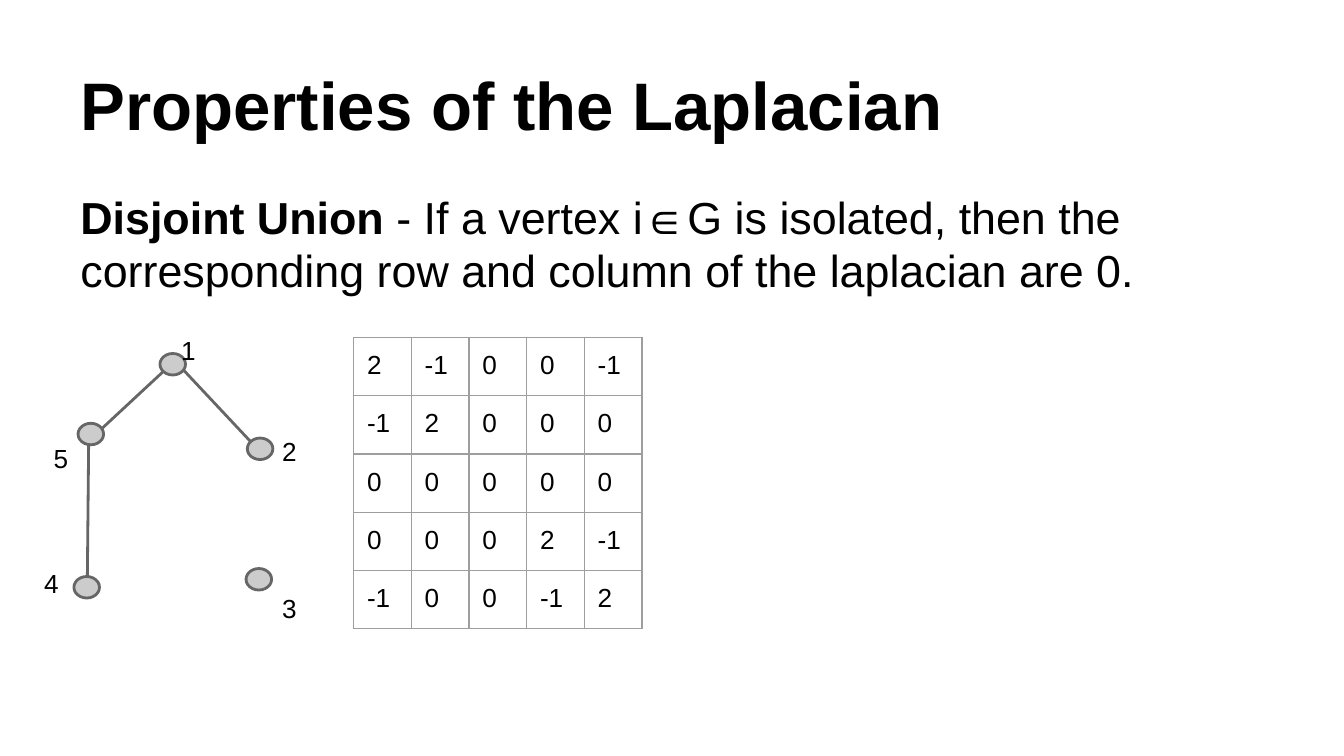
import pptx
import pptx.util
import pptx.dml.color
import pptx.enum.shapes
import pptx.enum.text
import pptx.oxml.ns
from dataclasses import dataclass
from lxml import etree

Pt = pptx.util.Pt
RGB = pptx.dml.color.RGBColor.from_string
MSO_ANCHOR = pptx.enum.text.MSO_ANCHOR
MSO_SHAPE = pptx.enum.shapes.MSO_SHAPE
qn = pptx.oxml.ns.qn


@dataclass
class Theme:
    font: str = "Arial"
    text: str = "000000"
    node: str = "CCCCCC"
    edge: str = "666666"
    grid: str = "9E9E9E"
    title: float = 36
    body: float = 24
    label: float = 14
    inset: float = 7.2
    edge_width: float = 1.5
    grid_width: float = 0.75


T = Theme()

# Content: text runs are (text, bold)
TITLE = [("Properties of the Laplacian", True)]
BODY = [("Disjoint Union", True),
        (" - If a vertex i∈G is isolated, then the corresponding row and "
         "column of the laplacian are 0.", False)]

# Graph: vertex -> (node left, top), (label left, top)
VERTICES = {
    1: ((85.7, 189.4), (90, 172.1)),
    2: ((132.5, 234.7), (144, 226.1)),
    3: ((131.8, 304.6), (144, 310.3)),
    4: ((39.6, 308.9), (16.6, 296.6)),
    5: ((41.8, 226.8), (21.6, 229.7)),
}
EDGES = [((90, 189.4), (133.9, 236.2)),
         ((47.5, 236.2), (88.6, 198)),
         ((47.5, 239), (46.8, 308.9))]
NODE_W, NODE_H = 13.7, 11.5
LABEL_W, LABEL_H = 18, 17.3

LAPLACIAN = [
    [2, -1, 0, 0, -1],
    [-1, 2, 0, 0, 0],
    [0, 0, 0, 0, 0],
    [0, 0, 0, 2, -1],
    [-1, 0, 0, -1, 2],
]
TABLE_X, TABLE_Y, COL_W, ROW_H = 189.4, 180.7, 30.9, 30.1


def set_insets(obj):
    for side in ("left", "top", "right", "bottom"):
        setattr(obj, "margin_" + side, Pt(T.inset))


def write(tf, runs, size):
    p = tf.paragraphs[0]
    p.font.name, p.font.size = T.font, Pt(size)
    p.font.color.rgb = RGB(T.text)
    for text, bold in runs:
        r = p.add_run()
        r.text, r.font.bold = text, bold


def add_text(s, box, runs, size, anchor=MSO_ANCHOR.TOP):
    tf = s.shapes.add_textbox(*map(Pt, box)).text_frame
    tf.word_wrap, tf.vertical_anchor = True, anchor
    set_insets(tf)
    write(tf, runs, size)


def set_line(sp):
    sp.line.color.rgb, sp.line.width = RGB(T.edge), Pt(T.edge_width)


def set_borders(cell):
    tcPr = cell._tc.get_or_add_tcPr()
    for i, tag in enumerate(("a:lnL", "a:lnR", "a:lnT", "a:lnB")):
        ln = etree.Element(qn(tag), w=str(Pt(T.grid_width)))
        fill = etree.SubElement(ln, qn("a:solidFill"))
        etree.SubElement(fill, qn("a:srgbClr"), val=T.grid)
        tcPr.insert(i, ln)


prs = pptx.Presentation()
prs.slide_width, prs.slide_height = Pt(720), Pt(405)
s = prs.slides.add_slide(prs.slide_layouts[6])

# Title and statement
add_text(s, (36, 16.6, 648, 67.7), TITLE, T.title, MSO_ANCHOR.BOTTOM)
add_text(s, (36, 94.3, 648, 293), BODY, T.body)

# Graph edges, then nodes with labels
for start, end in EDGES:
    line = s.shapes.add_connector(
        pptx.enum.shapes.MSO_CONNECTOR.STRAIGHT, *map(Pt, start + end))
    set_line(line)
    etree.SubElement(line._element.spPr, qn("a:effectLst"))

for vertex, (node_at, label_at) in VERTICES.items():
    sp = s.shapes.add_shape(MSO_SHAPE.OVAL, *map(Pt, node_at + (NODE_W, NODE_H)))
    sp.shadow.inherit = False
    sp.fill.solid()
    sp.fill.fore_color.rgb = RGB(T.node)
    set_line(sp)
    add_text(s, label_at + (LABEL_W, LABEL_H), [(str(vertex), False)], T.label)

# Laplacian matrix
n = len(LAPLACIAN)
table = s.shapes.add_table(n, n, Pt(TABLE_X), Pt(TABLE_Y),
                           Pt(n * COL_W), Pt(n * ROW_H)).table
table.first_row = table.horz_banding = False
for i, row in enumerate(LAPLACIAN):
    table.columns[i].width, table.rows[i].height = Pt(COL_W), Pt(ROW_H)
    for j, value in enumerate(row):
        cell = table.cell(i, j)
        cell.fill.background()
        set_insets(cell)
        set_borders(cell)
        write(cell.text_frame, [(str(value), False)], T.label)

prs.save("out.pptx")
